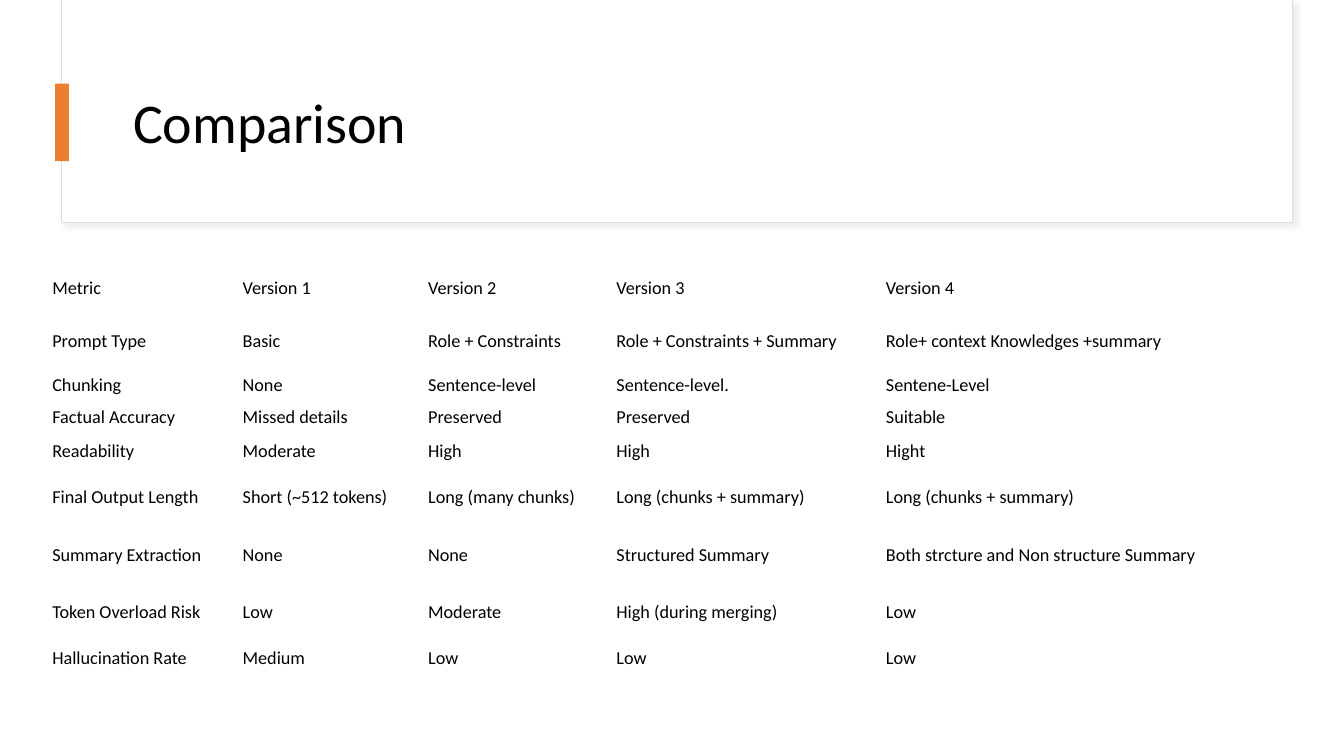
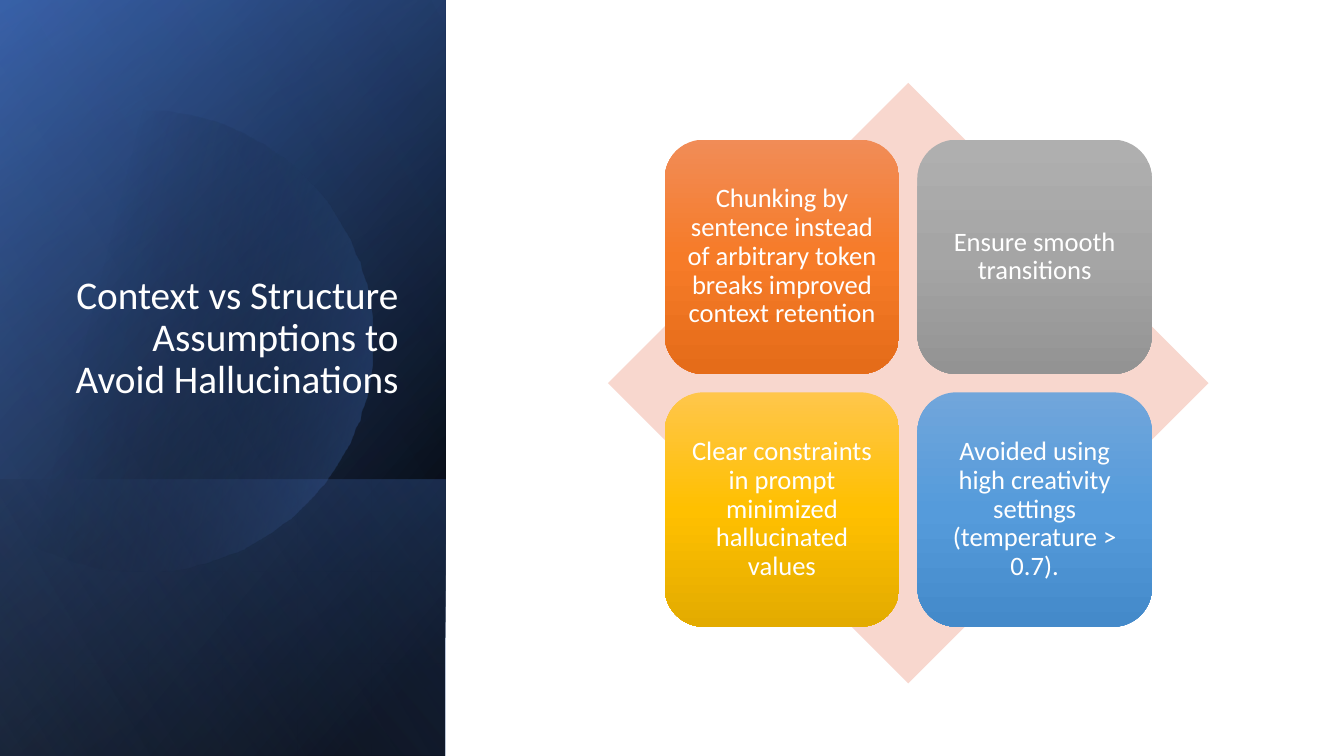
from dataclasses import dataclass
from math import cos, radians, sin

from pptx import Presentation
from pptx.dml.color import RGBColor
from pptx.enum import shapes, text
from pptx.oxml import parse_xml
from pptx.oxml.ns import nsdecls, qn
from pptx.util import Pt


@dataclass(frozen=True)
class Theme:
    font: str = "Calibri"
    ink: str = "000000"
    paper: str = "FFFFFF"
    accent: str = "ED7D31"
    rule: str = "DEDEDE"
    shade: str = "D9D9D9"
    diamond: str = "F8D7CE"
    blue: str = "4472C4"
    deep_blue: str = "2F5597"
    pale_blue: str = "8FAADC"
    orange_card: tuple = ("F18C57", "F67B28", "E56C19")
    grey_card: tuple = ("AFAFAF", "A5A5A5", "939393")
    gold_card: tuple = ("FFC64B", "FFC000", "E3AB00")
    blue_card: tuple = ("71A6DB", "559BDB", "448ACA")
    title_size: int = 40
    side_title_size: int = 28
    card_size: int = 19
    table_size: int = 13


THEME = Theme()
WIDTH, HEIGHT = 960, 540

METRICS = [
    ("Metric", "Version 1", "Version 2", "Version 3", "Version 4"),
    ("Prompt Type", "Basic", "Role + Constraints", "Role + Constraints + Summary",
     "Role+ context Knowledges +summary"),
    ("Chunking", "None", "Sentence-level", "Sentence-level.", "Sentene-Level"),
    ("Factual Accuracy", "Missed details", "Preserved", "Preserved", "Suitable"),
    ("Readability", "Moderate", "High", "High", "Hight"),
    ("Final Output Length", "Short (~512 tokens)", "Long (many chunks)",
     "Long (chunks + summary)", "Long (chunks + summary)"),
    ("Summary Extraction", "None", "None", "Structured Summary",
     "Both strcture and Non structure Summary"),
    ("Token Overload Risk", "Low", "Moderate", "High (during merging)", "Low"),
    ("Hallucination Rate", "Medium", "Low", "Low", "Low"),
]
COLUMN_WIDTHS = (136, 132.5, 134.5, 192.5, 262)
ROW_HEIGHTS = (35.3, 41, 21.6, 24.5, 24.5, 41, 41, 41, 24.5)

CARDS = [
    ("Chunking by sentence instead of arbitrary token breaks improved context retention",
     THEME.orange_card),
    ("Ensure smooth transitions", THEME.grey_card),
    ("Clear constraints in prompt minimized hallucinated values", THEME.gold_card),
    ("Avoided using high creativity settings (temperature > 0.7).", THEME.blue_card),
]


def points(box):
    return [Pt(length) for length in box]


def write(frame, content, size, color, align=text.PP_ALIGN.LEFT, spacing=None):
    frame.text = content
    frame.word_wrap = True
    paragraph = frame.paragraphs[0]
    paragraph.alignment = align
    paragraph.line_spacing = spacing
    font = paragraph.runs[0].font
    font.name, font.size = THEME.font, Pt(size)
    font.color.rgb = RGBColor.from_string(color)


def add_plain(slide, kind, box, color=THEME.paper):
    """Add a preset shape with a flat fill, no line and no shadow."""
    shape = slide.shapes.add_shape(kind, *points(box))
    shape.shadow.inherit = False
    shape.fill.solid()
    shape.fill.fore_color.rgb = RGBColor.from_string(color)
    shape.line.fill.background()
    return shape


def add_title(slide, box, content, size, color, align, anchor):
    frame = slide.shapes.add_textbox(*points(box)).text_frame
    write(frame, content, size, color, align, 0.9)
    frame.vertical_anchor = anchor


def set_gradient(shape, stops, angle):
    """Fill with (position, colour, opacity) stops, all in percent."""
    shape.fill.background()
    stop_xml = "".join(
        f'<a:gs pos="{position * 1000}"><a:srgbClr val="{color}">'
        f'<a:alpha val="{opacity * 1000}"/></a:srgbClr></a:gs>'
        for position, color, opacity in stops)
    gradient = parse_xml(
        f'<a:gradFill {nsdecls("a")} rotWithShape="1"><a:gsLst>{stop_xml}</a:gsLst>'
        f'<a:lin ang="{angle * 60000}" scaled="0"/></a:gradFill>')
    properties = shape._element.spPr
    properties.replace(properties.find(qn("a:noFill")), gradient)


def set_shadow(shape, color, opacity, blur, distance, angle):
    effects = shape._element.spPr.find(qn("a:effectLst"))
    effects.append(parse_xml(
        f'<a:outerShdw {nsdecls("a")} blurRad="{Pt(blur)}" dist="{Pt(distance)}" '
        f'dir="{angle * 60000}" algn="tl" rotWithShape="0"><a:srgbClr val="{color}">'
        f'<a:alpha val="{opacity * 1000}"/></a:srgbClr></a:outerShdw>'))


def add_header(slide, box, title):
    left, top, width, height = box
    rectangle = shapes.MSO_SHAPE.RECTANGLE
    outline = add_plain(slide, rectangle, (left, top + 0.6, width, height))
    outline.line.color.rgb = RGBColor.from_string(THEME.rule)
    outline.line.width = Pt(0.75)
    set_shadow(outline, THEME.shade, 50, 4, 3, 45)
    add_plain(slide, rectangle, (left + 0.6, top, width - 1, height))
    add_title(slide, (left + 44, top + 43, width - 78, 93), title, THEME.title_size,
              THEME.ink, text.PP_ALIGN.LEFT, text.MSO_ANCHOR.MIDDLE)
    add_plain(slide, rectangle, (left - 4.7, top + 59.8, 10, 55.4), THEME.accent)


def add_metrics(slide, left, top):
    frame = slide.shapes.add_table(
        len(METRICS), len(COLUMN_WIDTHS),
        *points((left, top, sum(COLUMN_WIDTHS), sum(ROW_HEIGHTS))))
    table = frame.table
    table.first_row = table.horz_banding = False
    for column, width in zip(table.columns, COLUMN_WIDTHS):
        column.width = Pt(width)
    for row, height, entries in zip(table.rows, ROW_HEIGHTS, METRICS):
        row.height = Pt(height)
        for cell, entry in zip(row.cells, entries):
            cell.fill.background()
            cell.margin_left = cell.margin_right = Pt(5)
            cell.margin_top = cell.margin_bottom = Pt(2.8)
            cell.vertical_anchor = text.MSO_ANCHOR.MIDDLE
            write(cell.text_frame, entry, THEME.table_size, THEME.ink)


def add_turned_layer(slide, box, stops, angle):
    """Cover the box with a mirrored rectangle turned by a quarter."""
    left, top, width, height = box
    shift = (width - height) / 2
    layer = add_plain(slide, shapes.MSO_SHAPE.RECTANGLE,
                      (left + shift, top - shift, height, width))
    layer.rotation = 90
    layer._element.spPr.xfrm.set("flipH", "1")
    set_gradient(layer, stops, angle)


def add_glow(slide, left, center_y, offset, radius):
    """Add a disc cut off along the left edge of its panel."""
    limit = 128
    outline = [(left + offset + radius * cos(radians(turn)),
                center_y + radius * sin(radians(turn)))
               for turn in range(-limit, limit + 1, 2)]
    builder = slide.shapes.build_freeform(*outline[0], scale=Pt(1))
    builder.add_line_segments(outline[1:], close=True)
    glow = builder.convert_to_shape()
    glow.shadow.inherit = False
    glow.line.fill.background()
    set_gradient(glow, [(29, THEME.ink, 0), (100, THEME.blue, 43)], 14)


def add_side_panel(slide, box, title):
    left, top, width, height = box
    foot = 197.3
    foot_box = (left, top + height - foot, width, foot)
    add_turned_layer(slide, box, [(8, THEME.ink, 100), (100, THEME.deep_blue, 100)], 50)
    add_turned_layer(slide, box, [(0, THEME.ink, 0), (99, THEME.blue, 46)], 30)
    add_turned_layer(slide, foot_box, [(2, THEME.blue, 29), (100, THEME.ink, 30)], 130)
    add_glow(slide, left, top + 243.4, 101.5, 165)
    add_turned_layer(slide, box, [(0, THEME.ink, 0), (99, THEME.pale_blue, 11)], 120)
    add_title(slide, (left + 46, top + 132.5, width - 72.5, 158.5), title,
              THEME.side_title_size, THEME.paper, text.PP_ALIGN.RIGHT,
              text.MSO_ANCHOR.BOTTOM)


def add_card_matrix(slide, box):
    left, top, side, _ = box
    card, gap = 167.5, 13
    margin = (side - 2 * card - gap) / 2
    add_plain(slide, shapes.MSO_SHAPE.DIAMOND, box, THEME.diamond)
    for index, (content, colors) in enumerate(CARDS):
        row, column = divmod(index, 2)
        shape = add_plain(slide, shapes.MSO_SHAPE.ROUNDED_RECTANGLE,
                          (left + margin + column * (card + gap),
                           top + margin + row * (card + gap), card, card))
        set_gradient(shape, [(position, color, 100)
                             for position, color in zip((0, 50, 100), colors)], 90)
        frame = shape.text_frame
        frame.margin_left = frame.margin_right = Pt(5.7)
        frame.margin_top = frame.margin_bottom = Pt(5.7)
        frame.vertical_anchor = text.MSO_ANCHOR.MIDDLE
        write(frame, content, THEME.card_size, THEME.paper, text.PP_ALIGN.CENTER, 0.9)


def build_comparison(slide):
    add_header(slide, (44, 0, 879, 158.6), "Comparison")
    add_metrics(slide, 32.4, 188)


def build_assumptions(slide):
    add_side_panel(slide, (0, 0, 318.2, HEIGHT),
                   "Context vs Structure Assumptions to Avoid Hallucinations")
    add_card_matrix(slide, (434.3, 59.2, 429, 429))


def main():
    deck = Presentation()
    deck.slide_width, deck.slide_height = Pt(WIDTH), Pt(HEIGHT)
    blank = deck.slide_layouts[6]
    for build in (build_comparison, build_assumptions):
        build(deck.slides.add_slide(blank))
    deck.save("out.pptx")


if __name__ == "__main__":
    main()
